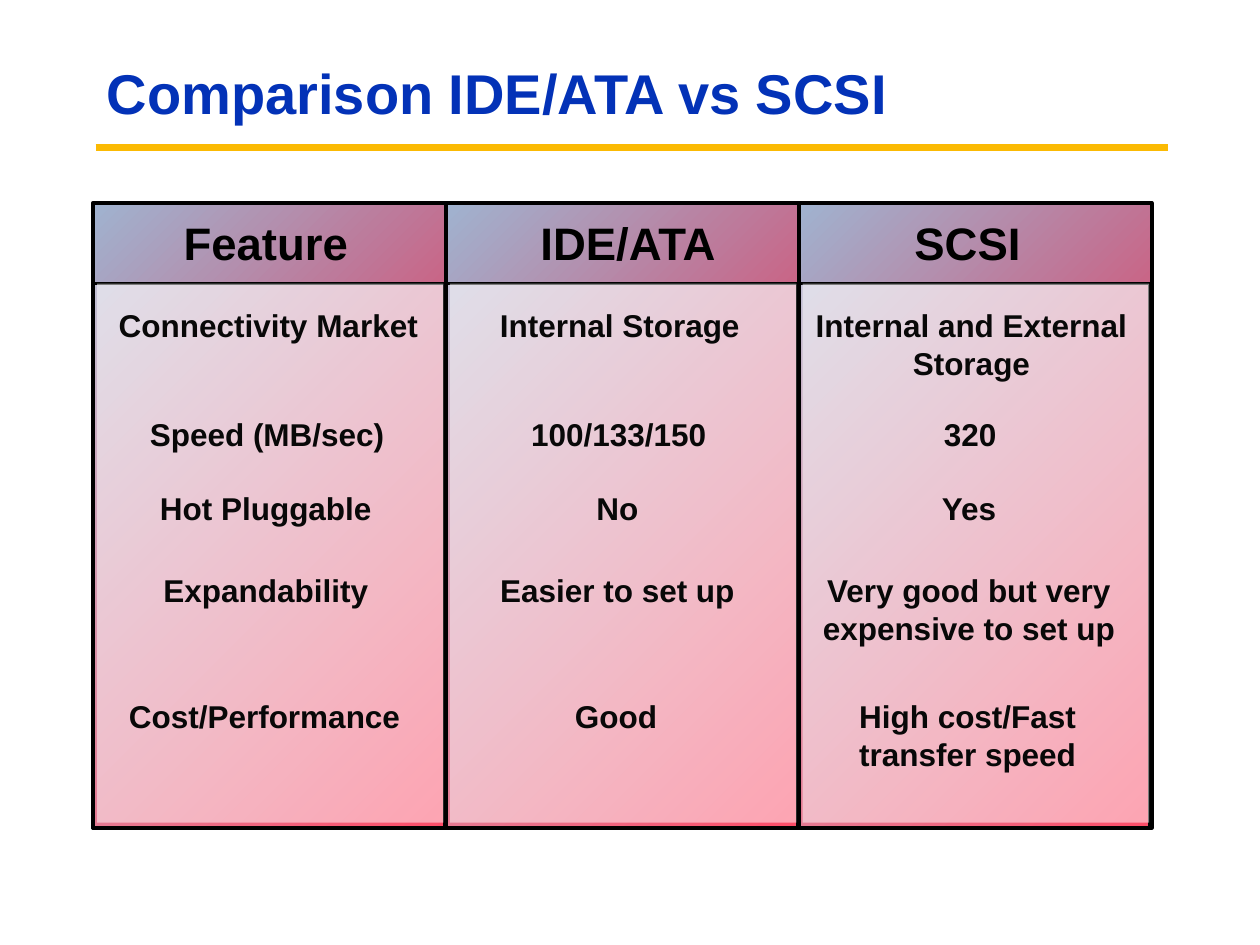
from lxml.etree import SubElement
from pptx import Presentation
from pptx.dml.color import RGBColor
from pptx.enum.shapes import MSO_CONNECTOR, MSO_SHAPE
from pptx.enum.text import MSO_ANCHOR, PP_ALIGN
from pptx.oxml.ns import qn
from pptx.util import Inches, Pt

theme = {
    "gold": RGBColor.from_string("FBBA03"),
    "cool": RGBColor.from_string("A0B3D0"),
    "hot": RGBColor.from_string("FC0128"),
    "white": RGBColor.from_string("FFFFFF"),
    "black": RGBColor.from_string("000000"),
    "title": {"size": Pt(32), "color": RGBColor.from_string("0332B7")},
    "head": {"size": Pt(26), "color": RGBColor.from_string("000000")},
    "body": {"size": Pt(18), "color": RGBColor.from_string("080808")},
    "font": {"name": "Arial", "bold": True},
}

deck = Presentation()
deck.slide_width, deck.slide_height = Inches(10), Inches(7.5)
slide = deck.slides.add_slide(deck.slide_layouts[6])
shapes = slide.shapes


def write(text, box, style, pad=(0, 0), align=PP_ALIGN.CENTER,
          anchor=MSO_ANCHOR.TOP, space=None):
    frame = shapes.add_textbox(*map(Inches, box)).text_frame
    side, top = map(Inches, pad)
    form = {"margin_left": side, "margin_right": side, "margin_top": top,
            "margin_bottom": top, "vertical_anchor": anchor, "word_wrap": True}
    for key, value in form.items():
        setattr(frame, key, value)
    para = frame.paragraphs[0]
    para.text = text
    para.alignment = align
    para.line_spacing = space
    for key, value in {**theme["font"], "size": theme[style]["size"]}.items():
        setattr(para.font, key, value)
    para.font.color.rgb = theme[style]["color"]


def panel(box, alpha=None, edge=True):
    shape = shapes.add_shape(MSO_SHAPE.RECTANGLE, *map(Inches, box))
    shape.shadow.inherit = False
    if alpha is None:
        shape.fill.gradient()
        shape.fill.gradient_angle = 315
        for stop, tone in zip(shape.fill.gradient_stops, ("cool", "hot")):
            stop.color.rgb = theme[tone]
    else:
        shape.fill.solid()
        shape.fill.fore_color.rgb = theme["white"]
        tint = shape._element.spPr.find(qn("a:solidFill"))[0]
        SubElement(tint, qn("a:alpha"), val=str(alpha * 1000))
    if edge:
        shape.line.color.rgb = theme["black"]
        shape.line.width = Pt(2.25)
    else:
        shape.line.fill.background()


rule = shapes.add_connector(MSO_CONNECTOR.STRAIGHT, Inches(0.76), Inches(1.17),
                            Inches(9.27), Inches(1.17))
rule.line.color.rgb = theme["gold"]
rule.line.width = Pt(3.75)
SubElement(rule._element.spPr, qn("a:effectLst"))

write("Comparison IDE/ATA vs SCSI", (0.75, 0.36, 7.98, 0.81), "title",
      pad=(0.1, 0.05), align=PP_ALIGN.LEFT, anchor=MSO_ANCHOR.MIDDLE, space=0.9)

cols = [0.74 + 2.8 * i for i in range(3)]
for left in cols:
    panel((left, 1.61, 2.8, 4.96))
    panel((left, 2.25, 2.79, 4.32), alpha=30)

heads = [("Feature", 0.85, 2.52), ("IDE/ATA", 3.79, 2.39), ("SCSI", 7.08, 1.2)]
for text, left, wide in heads:
    write(text, (left, 1.71, wide, 0.43), "head")

for left in cols:
    panel((left + 0.03, 2.25, 2.75, 4.28), alpha=49, edge=False)

rows = [
    (0.86, 2.43, "Connectivity Market", "Internal Storage", "Internal and External Storage"),
    (0.85, 3.29, "Speed (MB/sec)", "100/133/150", "320"),
    (0.84, 3.88, "Hot Pluggable", "No", "Yes"),
    (0.84, 4.53, "Expandability", "Easier to set up", "Very good but very\vexpensive to set up"),
    (0.83, 5.53, "Cost/Performance", "Good", "High cost/Fast\vtransfer speed"),
]
for left, top, *cells in rows:
    for i, text in enumerate(cells):
        high = 0.6 if len(text) > 20 else 0.3
        write(text, (left + 2.79 * i, top, 2.54, high), "body")

deck.save("out.pptx")
